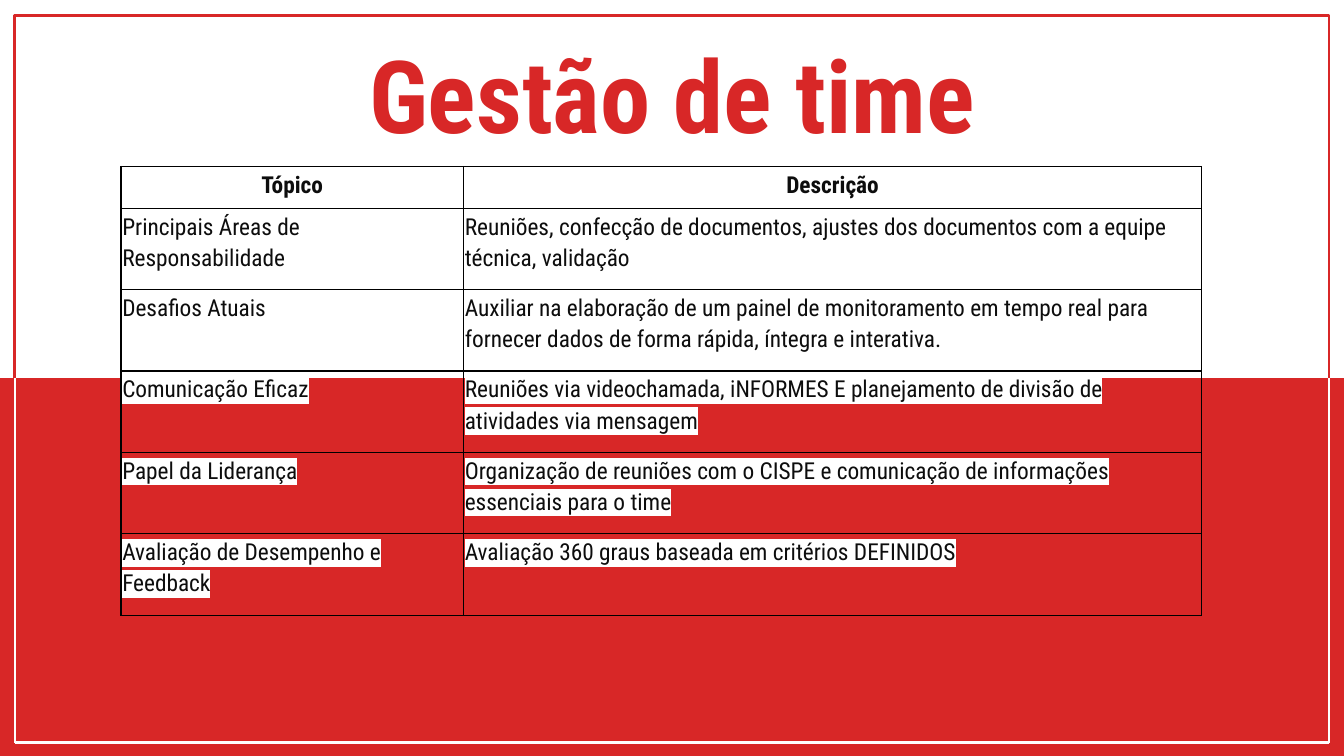
import pptx
import pptx.dml.color
import pptx.enum.shapes
import pptx.enum.text
import pptx.oxml
import pptx.oxml.ns
import pptx.util

Pt = pptx.util.Pt
ALIGN = pptx.enum.text.PP_ALIGN
MIDDLE = pptx.enum.text.MSO_ANCHOR.MIDDLE

TITLE = "Gestão de time"
ROWS = [
    ("Tópico", "Descrição"),
    ("Principais Áreas de Responsabilidade",
     "Reuniões, confecção de documentos, ajustes dos documentos com a equipe técnica, validação"),
    ("Desafios Atuais",
     "Auxiliar na elaboração de um painel de monitoramento em tempo real para fornecer dados "
     "de forma rápida, íntegra e interativa."),
    ("Comunicação Eficaz",
     "Reuniões via videochamada, iNFORMES E planejamento de divisão de atividades via mensagem"),
    ("Papel da Liderança",
     "Organização de reuniões com o CISPE e comunicação de informações essenciais para o time"),
    ("Avaliação de Desempenho e Feedback",
     "Avaliação 360 graus baseada em critérios DEFINIDOS"),
]
FONT = "Roboto Condensed"
RED, WHITE, BLACK, INK = "D82727", "FFFFFF", "000000", "0D0D0D"

SLIDE_W, SLIDE_H = 720, 405
FRAME_LEFT, FRAME_TOP, FRAME_RIGHT, FRAME_BOTTOM = 8, 8.5, 712, 398
HORIZON = 202.5
COLUMN_WIDTHS = (183.5, 395.5)
HEADER_H, ROW_H = 22.4, 43.6
CELL_INSET = 0.72


def rgb(value):
    return pptx.dml.color.RGBColor.from_string(value)


def xml(text):
    return pptx.oxml.parse_xml(text.replace(">", f" {pptx.oxml.ns.nsdecls('a')}>", 1))


def add_rect(left, top, width, height, fill=None, line=None):
    rect = slide.shapes.add_shape(pptx.enum.shapes.MSO_SHAPE.RECTANGLE,
                                  Pt(left), Pt(top), Pt(width), Pt(height))
    rect.shadow.inherit = False
    if fill:
        rect.fill.solid()
        rect.fill.fore_color.rgb = rgb(fill)
    else:
        rect.fill.background()
    if line:
        rect.line.color.rgb = rgb(line)
        rect.line.width = Pt(1.5)
    else:
        rect.line.fill.background()


def add_white_line(x1, y1, x2, y2):
    line = slide.shapes.add_connector(pptx.enum.shapes.MSO_CONNECTOR.STRAIGHT,
                                      Pt(x1), Pt(y1), Pt(x2), Pt(y2))
    line.line.color.rgb = rgb(WHITE)
    line.line.width = Pt(1.5)
    line._element.spPr.append(xml("<a:effectLst></a:effectLst>"))


def style(paragraph, size, color, bold, align):
    paragraph.alignment = align
    font = paragraph.font
    font.name, font.size, font.bold = FONT, Pt(size), bold
    font.color.rgb = rgb(color)


def add_borders(cell):
    properties = cell._tc.get_or_add_tcPr()
    for position, side in enumerate(("lnL", "lnR", "lnT", "lnB")):
        properties.insert(position, xml(
            f'<a:{side} w="{Pt(0.75)}"><a:solidFill><a:srgbClr val="{BLACK}"/>'
            f'</a:solidFill></a:{side}>'))


def fill_cell(cell, text, is_header):
    cell.fill.background()
    cell.margin_left = cell.margin_right = cell.margin_top = cell.margin_bottom = Pt(CELL_INSET)
    cell.text = text
    paragraph = cell.text_frame.paragraphs[0]
    paragraph.line_spacing = 1.15
    style(paragraph, 12.5, INK, is_header, ALIGN.CENTER if is_header else ALIGN.LEFT)
    paragraph.runs[0]._r.get_or_add_rPr().append(
        xml(f'<a:highlight><a:srgbClr val="{WHITE}"/></a:highlight>'))
    add_borders(cell)


deck = pptx.Presentation()
deck.slide_width, deck.slide_height = Pt(SLIDE_W), Pt(SLIDE_H)
slide = deck.slides.add_slide(deck.slide_layouts[6])

# Red frame above the horizon, white frame over the red half
add_rect(FRAME_LEFT, FRAME_TOP, FRAME_RIGHT - FRAME_LEFT, FRAME_BOTTOM - FRAME_TOP, line=RED)
add_rect(-7, HORIZON, 733, 203.5, fill=RED)
for side_x in (FRAME_LEFT, FRAME_RIGHT):
    add_white_line(side_x, HORIZON, side_x, FRAME_BOTTOM)
add_white_line(FRAME_LEFT, FRAME_BOTTOM, FRAME_RIGHT, FRAME_BOTTOM)

title = slide.shapes.add_textbox(Pt(173), Pt(10.5), Pt(374), Pt(79)).text_frame
title.word_wrap = True
title.vertical_anchor = MIDDLE
title.text = TITLE
style(title.paragraphs[0], 54, RED, True, ALIGN.CENTER)

table = slide.shapes.add_table(
    len(ROWS), len(COLUMN_WIDTHS), Pt(64.8), Pt(89.2),
    Pt(sum(COLUMN_WIDTHS)), Pt(HEADER_H + ROW_H * (len(ROWS) - 1))).table
table.horz_banding = False
table.first_row = False
for column, width in zip(table.columns, COLUMN_WIDTHS):
    column.width = Pt(width)
for r, texts in enumerate(ROWS):
    table.rows[r].height = Pt(ROW_H if r else HEADER_H)
    for c, text in enumerate(texts):
        fill_cell(table.cell(r, c), text, r == 0)

deck.save("out.pptx")
